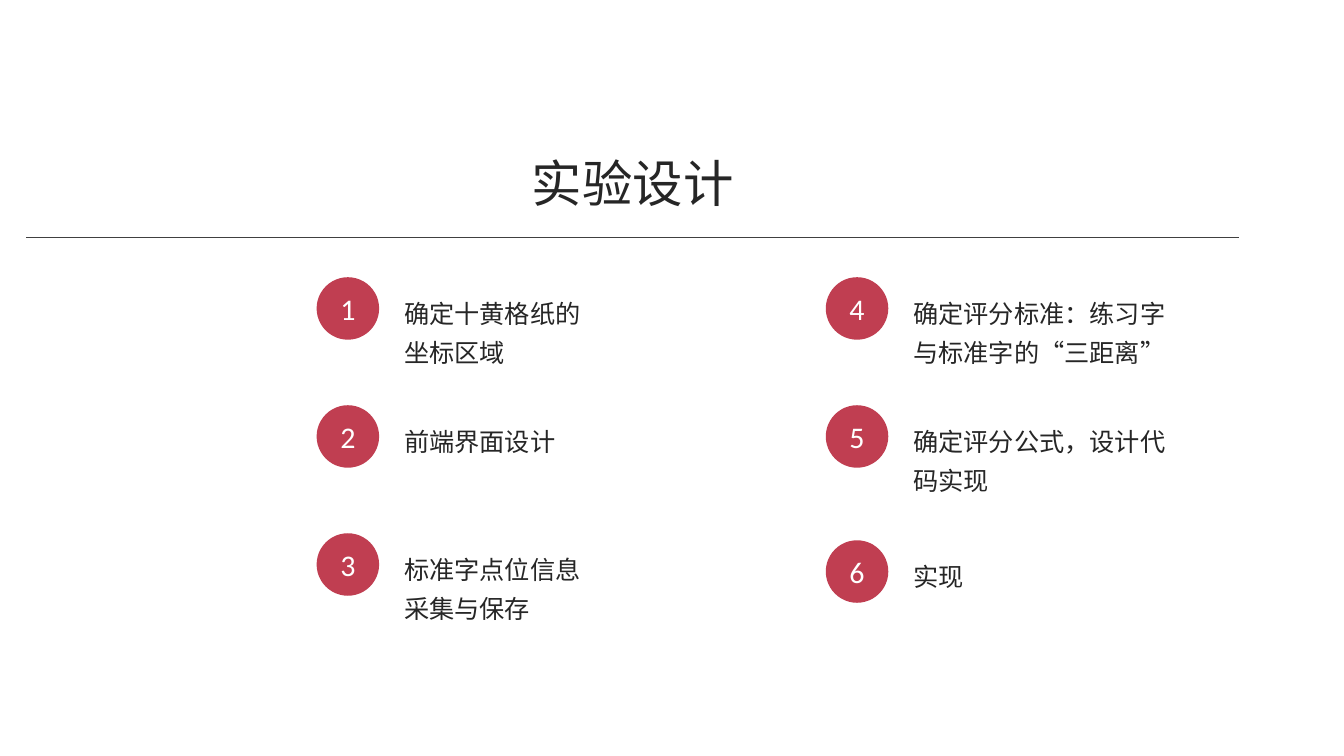
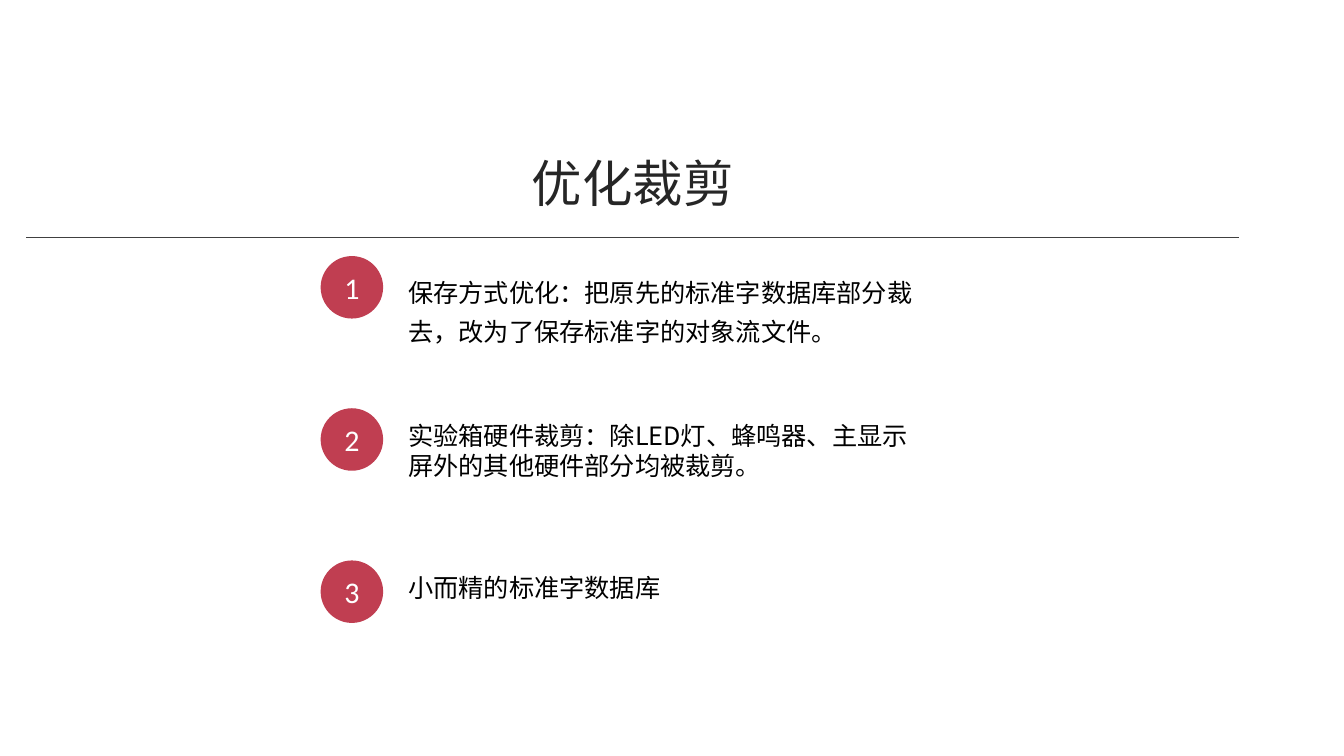
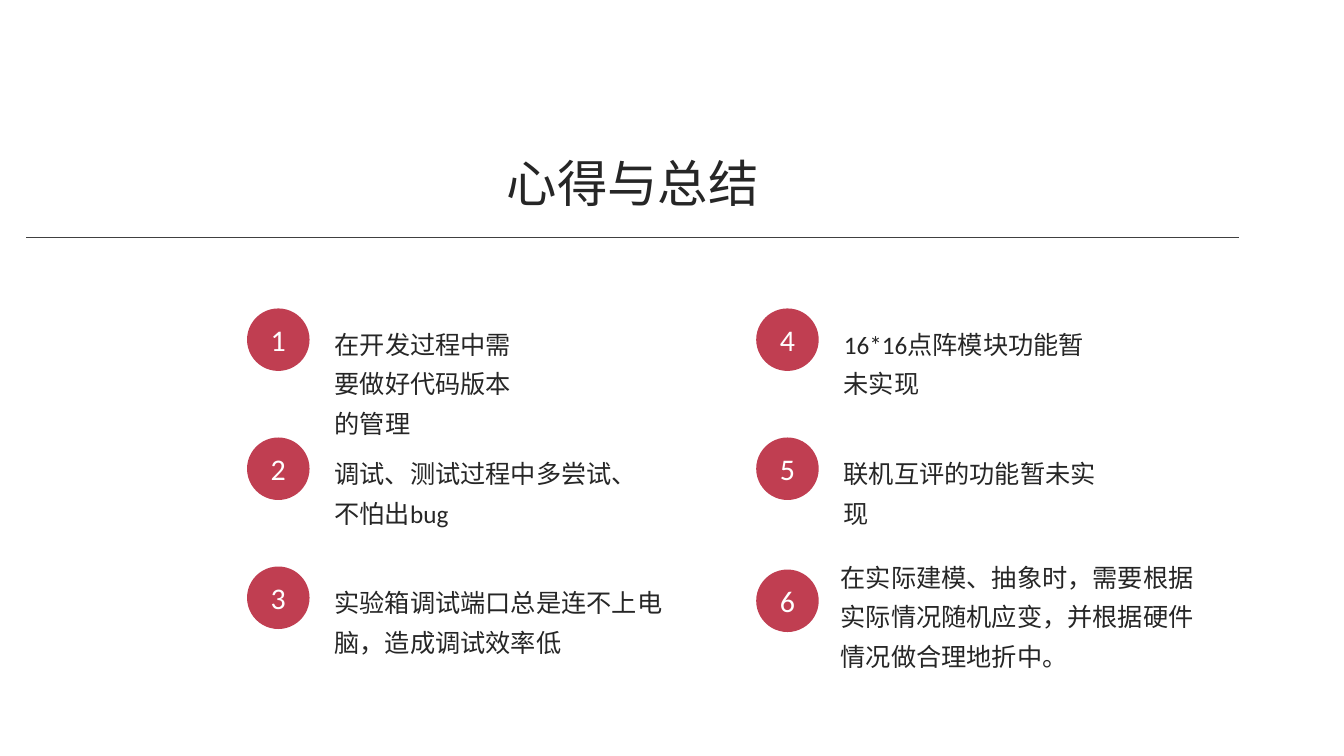
from lxml import etree
from pptx import Presentation
from pptx.dml.color import RGBColor
from pptx.enum.lang import MSO_LANGUAGE_ID
from pptx.enum.shapes import MSO_CONNECTOR, MSO_SHAPE
from pptx.enum.text import MSO_ANCHOR, MSO_AUTO_SIZE, PP_ALIGN
from pptx.oxml.ns import qn
from pptx.util import Inches, Pt

RED = RGBColor(0xC0, 0x3E, 0x51)
INK = RGBColor(0x26, 0x26, 0x26)
RULE = RGBColor(0x40, 0x40, 0x40)
BLACK = RGBColor(0, 0, 0)
WHITE = RGBColor(0xFF, 0xFF, 0xFF)
LATIN = "Calibri"
HAN = "Noto Sans CJK SC"
CENTER = PP_ALIGN.CENTER
LEFT = PP_ALIGN.LEFT
TOP = MSO_ANCHOR.TOP
MIDDLE = MSO_ANCHOR.MIDDLE
NO_FIT = MSO_AUTO_SIZE.NONE
OVAL = MSO_SHAPE.OVAL
STRAIGHT = MSO_CONNECTOR.STRAIGHT
CHINESE = MSO_LANGUAGE_ID.SIMPLIFIED_CHINESE
DOT = 0.62


class Deck:
    def __init__(self):
        self.show = Presentation()
        self.show.slide_width = Inches(13.33)
        self.show.slide_height = Inches(7.5)
        self.slide = None

    def label(self, shape, text, size, color, font=LATIN, align=LEFT,
              anchor=TOP, space=1.0):
        frame = shape.text_frame
        frame.word_wrap = True
        frame.auto_size = NO_FIT
        frame.vertical_anchor = anchor
        para = frame.paragraphs[0]
        para.alignment = align
        para.line_spacing = space
        run = para.add_run()
        run.text = text
        run.font.size = Pt(size)
        run.font.color.rgb = color
        run.font.name = font
        run.font.language_id = CHINESE
        etree.SubElement(run.font._element, qn("a:ea")).set("typeface", HAN)

    def page(self, title):
        self.slide = self.show.slides.add_slide(self.show.slide_layouts[5])
        head = self.slide.shapes.title
        head.left, head.top = Inches(4.9), Inches(1.46)
        head.width, head.height = Inches(2.75), Inches(0.71)
        self.label(head, title, 36, INK, align=CENTER)
        self.rule()

    def rule(self):
        line = self.slide.shapes.add_connector(
            STRAIGHT, Inches(0.26), Inches(2.35), Inches(12.29), Inches(2.35))
        line.line.color.rgb = RULE
        line.line.width = Pt(0.5)
        etree.SubElement(line._element.spPr, qn("a:effectLst"))

    def badge(self, num, left, top):
        dot = self.slide.shapes.add_shape(
            OVAL, Inches(left), Inches(top), Inches(DOT), Inches(DOT))
        dot.shadow.inherit = False
        dot.fill.solid()
        dot.fill.fore_color.rgb = RED
        dot.line.fill.background()
        self.label(dot, str(num), 21.4, WHITE, align=CENTER, anchor=MIDDLE)

    def item(self, num, left, top, text, wide, high, dx=0.77, dy=0.07,
             color=INK, font=LATIN, space=1.3):
        self.badge(num, left, top)
        box = self.slide.shapes.add_textbox(
            Inches(left + dx), Inches(top + dy), Inches(wide), Inches(high))
        self.label(box, text, 18, color, font, space=space)

    def column(self, first, left, top, pitch, items):
        for i, (text, wide, high) in enumerate(items):
            self.item(first + i, left, top + i * pitch, text, wide, high)


def main():
    deck = Deck()

    deck.page("实验设计")
    deck.column(1, 3.14, 2.75, 1.27, [
        ("确定十黄格纸的坐标区域", 1.98, 0.74),
        ("前端界面设计", 3.06, 0.41),
        ("标准字点位信息采集与保存", 1.98, 0.8),
    ])
    deck.column(4, 8.19, 2.75, 1.27, [
        ("确定评分标准：练习字与标准字的“三距离”", 2.81, 0.74),
        ("确定评分公式，设计代码实现", 2.81, 0.85),
    ])
    deck.item(6, 8.19, 5.36, "实现", 3.06, 0.41)

    deck.page("优化裁剪")
    cuts = [
        ("保存方式优化：把原先的标准字数据库部分裁去，改为了保存标准字的对象流文件。", 1.25, 1.3),
        ("实验箱硬件裁剪：除LED灯、蜂鸣器、主显示屏外的其他硬件部分均被裁剪。", 0.93, 1.0),
        ("小而精的标准字数据库", 0.67, 1.0),
    ]
    for i, (text, high, space) in enumerate(cuts):
        deck.item(i + 1, 3.18, 2.54 + i * 1.51, text, 5.22, high,
                  color=BLACK, font=HAN, space=space)

    deck.page("心得与总结")
    deck.column(1, 2.45, 3.06, 1.28, [
        ("在开发过程中需要做好代码版本的管理", 1.98, 0.74),
        ("调试、测试过程中多尝试、不怕出bug", 3.06, 0.41),
        ("实验箱调试端口总是连不上电脑，造成调试效率低", 3.56, 0.8),
    ])
    deck.column(4, 7.5, 3.06, 1.28, [
        ("16*16点阵模块功能暂未实现", 2.81, 0.74),
        ("联机互评的功能暂未实现", 2.81, 0.85),
    ])
    deck.item(6, 7.5, 5.65,
              "在实际建模、抽象时，需要根据实际情况随机应变，并根据硬件情况做合理地折中。",
              3.74, 0.73, dx=0.74, dy=-0.21)

    deck.show.save("out.pptx")


if __name__ == "__main__":
    main()
